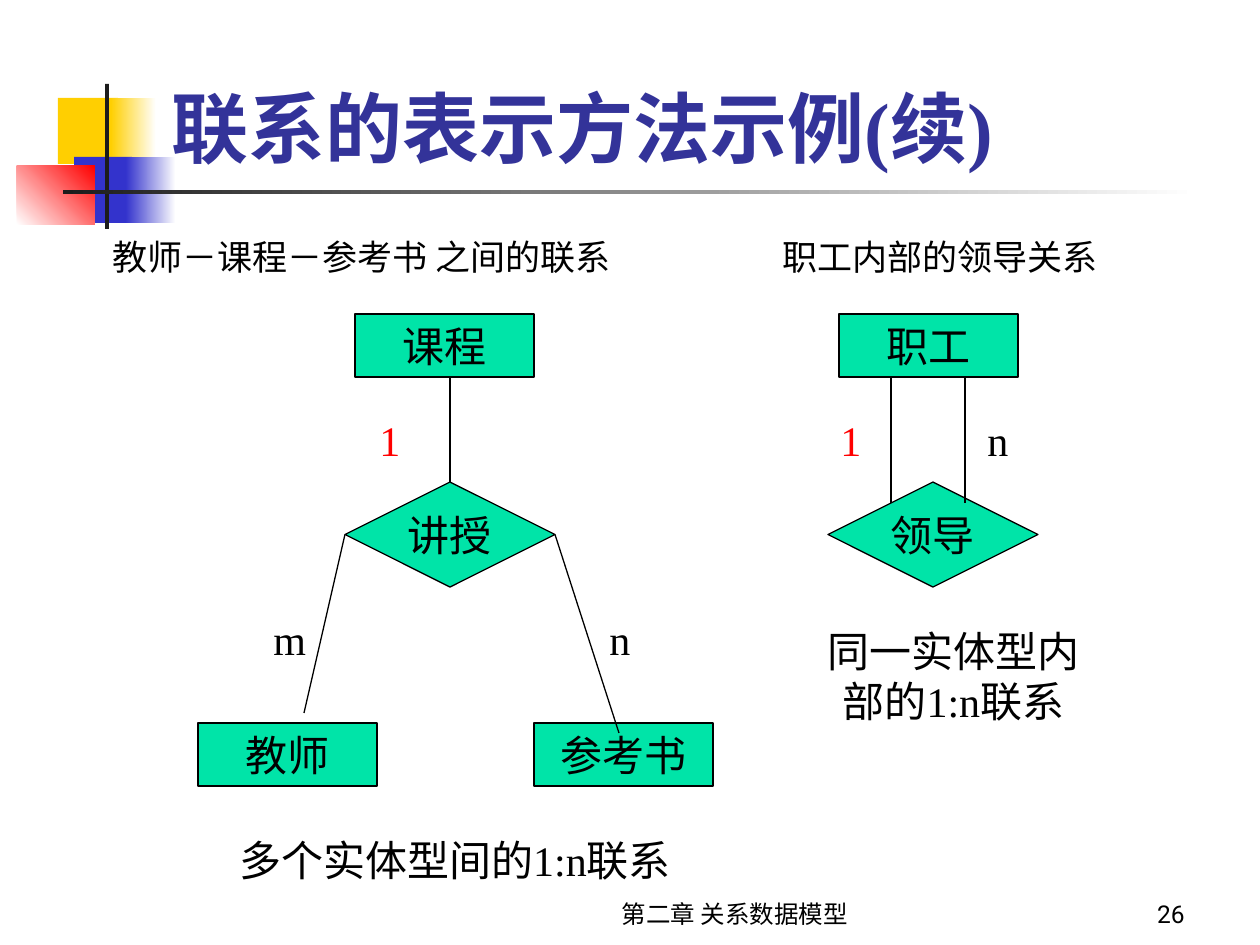
from lxml.etree import SubElement
from pptx import Presentation
from pptx.dml.color import RGBColor
from pptx.enum.shapes import MSO_CONNECTOR, MSO_SHAPE
from pptx.enum.text import MSO_ANCHOR, PP_ALIGN
from pptx.oxml.ns import qn
from pptx.util import Pt

PX = 914400 / 126  # EMU in one px

WHITE = RGBColor(0xFF, 0xFF, 0xFF)
BLACK = RGBColor(0x00, 0x00, 0x00)
DARK = RGBColor(0x1C, 0x1C, 0x1C)
YELLOW = RGBColor(0xFF, 0xCF, 0x01)
BLUE = RGBColor(0x33, 0x33, 0xCC)
RED = RGBColor(0xFF, 0x00, 0x00)
GREEN = RGBColor(0x00, 0xE4, 0xA8)
NAVY = RGBColor(0x33, 0x33, 0x99)

SERIF, SANS = "Times New Roman", "Roboto"
LEFT, CENTER, RIGHT = PP_ALIGN.LEFT, PP_ALIGN.CENTER, PP_ALIGN.RIGHT
TOP, MIDDLE, BOTTOM = MSO_ANCHOR.TOP, MSO_ANCHOR.MIDDLE, MSO_ANCHOR.BOTTOM

# Ornament: box, start colour, end colour (None for solid), gradient angle
ORNAMENT = [
    ((58, 98, 60, 66), YELLOW, None, 0),
    ((111, 98, 45, 66), YELLOW, WHITE, 0),
    ((74, 157, 58, 66), BLUE, None, 0),
    ((126, 157, 50, 66), BLUE, WHITE, 0),
    ((17, 166, 78, 59), WHITE, RED, 45),
    ((105, 84, 4, 145), DARK, None, 0),
    ((63, 190, 1134, 4), DARK, WHITE, 0),
]

# Diagram nodes: text -> left, top
ENTITY_SIZE = (179, 63)
ENTITIES = {"课程": (355, 314), "教师": (198, 723), "参考书": (534, 723), "职工": (839, 314)}
RELATION_SIZE = (210, 105)
RELATIONS = {"讲授": (345, 482), "领导": (828, 482)}

# Lines from a relation's corner (0 top, 1 left, 3 right) to a point
CORNER_LINES = [("讲授", 0, (450, 377)), ("讲授", 1, (304, 713)), ("讲授", 3, (619, 733))]
# Parallel lines between 职工 and 领导
LOOP_XS, LOOP_TOP, LOOP_BOTTOM = (891, 965), 377, 503

# Cardinalities: text, left, top, colour
LABEL_SIZE = (53, 63)
LABELS = [
    ("1", 367, 408, RED), ("m", 261, 607, BLACK), ("n", 597, 607, BLACK),
    ("1", 828, 408, RED), ("n", 975, 408, BLACK),
]

# Other text: text, box, font, size, colour, bold, alignment, anchor
TEXTS = [
    ("联系的表示方法示例(续)", (159, 53, 1073, 126), SERIF, 44, NAVY, True, LEFT, BOTTOM),
    ("同一实体型内部的1:n联系", (796, 619, 315, 113), SERIF, 24, BLACK, False, CENTER, TOP),
    ("多个实体型间的1:n联系", (198, 828, 514, 63), SERIF, 24, BLACK, False, CENTER, TOP),
    ("第二章 关系数据模型", (483, 872, 504, 63), SANS, 14, BLACK, False, CENTER, BOTTOM),
    ("26", (1040, 872, 157, 63), SANS, 14, BLACK, False, RIGHT, BOTTOM),
]
CAPTIONS = ["教师－课程－参考书 之间的联系", "职工内部的领导关系"]
CAPTION_BOX, CAPTION_TAB = (100, 229, 1086, 55), 670


def emu(*lengths):
    return [round(length * PX) for length in lengths]


def write(shape, text, font=SERIF, size=24, color=BLACK, bold=False,
          align=CENTER, anchor=TOP, wrap=True, tab=None):
    frame = shape.text_frame
    frame.word_wrap = wrap
    frame.vertical_anchor = anchor
    frame.text = text
    paragraph = frame.paragraphs[0]
    paragraph.alignment = align
    if tab:
        tabs = SubElement(paragraph._p.get_or_add_pPr(), qn("a:tabLst"))
        SubElement(tabs, qn("a:tab"), pos=str(emu(tab)[0]), algn="l")
    for run in paragraph.runs:
        run.font.name, run.font.size, run.font.bold = font, Pt(size), bold
        run.font.color.rgb = color


def add_text(slide, text, box, **style):
    write(slide.shapes.add_textbox(*emu(*box)), text, **style)


def add_ornament(slide, box, start, end, angle):
    shape = slide.shapes.add_shape(MSO_SHAPE.RECTANGLE, *emu(*box))
    shape.shadow.inherit = False
    shape.line.fill.background()
    if end is None:
        shape.fill.solid()
        shape.fill.fore_color.rgb = start
    else:
        shape.fill.gradient()
        shape.fill.gradient_angle = angle
        for stop, color in zip(shape.fill.gradient_stops, (start, end)):
            stop.color.rgb = color


def add_node(slide, kind, text, box, **style):
    shape = slide.shapes.add_shape(kind, *emu(*box))
    shape.shadow.inherit = False
    shape.fill.solid()
    shape.fill.fore_color.rgb = GREEN
    shape.line.color.rgb = BLACK
    shape.line.width = Pt(0.75)
    write(shape, text, **style)
    return shape


def add_line(slide, start, end):
    line = slide.shapes.add_connector(MSO_CONNECTOR.STRAIGHT, *emu(*start, *end))
    line.line.color.rgb = BLACK
    line.line.width = Pt(0.75)
    SubElement(line._element.spPr, qn("a:effectLst"))
    return line


def main():
    presentation = Presentation()
    presentation.slide_width, presentation.slide_height = emu(1260, 945)
    slide = presentation.slides.add_slide(presentation.slide_layouts[6])

    for ornament in ORNAMENT:
        add_ornament(slide, *ornament)

    # Title, notes and footer
    for text, box, font, size, color, bold, align, anchor in TEXTS:
        add_text(slide, text, box, font=font, size=size, color=color,
                 bold=bold, align=align, anchor=anchor)
    add_text(slide, "\t".join(CAPTIONS), CAPTION_BOX, font=SANS, size=20,
             align=LEFT, tab=CAPTION_TAB)

    # Entities and relations
    for text, corner in ENTITIES.items():
        add_node(slide, MSO_SHAPE.RECTANGLE, text, corner + ENTITY_SIZE)
    diamonds = {
        text: add_node(slide, MSO_SHAPE.DIAMOND, text, corner + RELATION_SIZE,
                       anchor=MIDDLE, wrap=False)
        for text, corner in RELATIONS.items()
    }

    # Lines and cardinalities
    for relation, site, end in CORNER_LINES:
        line = add_line(slide, RELATIONS[relation], end)
        line.begin_connect(diamonds[relation], site)
    for x in LOOP_XS:
        add_line(slide, (x, LOOP_TOP), (x, LOOP_BOTTOM))
    for text, left, top, color in LABELS:
        add_text(slide, text, (left, top) + LABEL_SIZE, color=color, align=LEFT)

    presentation.save("out.pptx")


if __name__ == "__main__":
    main()
